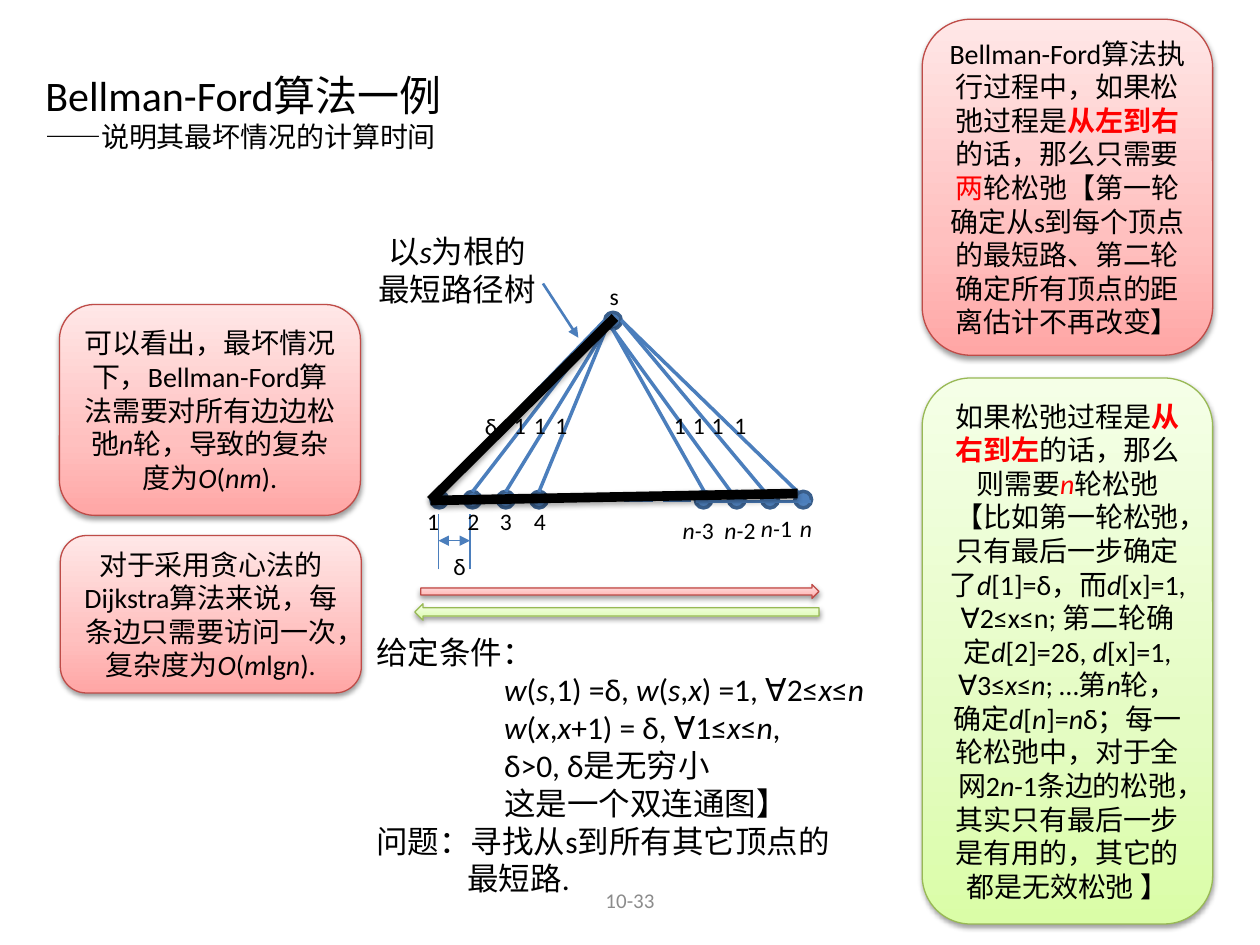
import copy

import pptx
import pptx.dml.color
import pptx.enum.dml
import pptx.enum.shapes
import pptx.enum.text
import pptx.oxml
import pptx.oxml.ns
import pptx.util

Pt = pptx.util.Pt
SHAPE = pptx.enum.shapes.MSO_SHAPE
ALIGN = pptx.enum.text.PP_ALIGN
ANCHOR = pptx.enum.text.MSO_ANCHOR

THEME = {
    "font": "Calibri", "text": "000000", "accent": "FF0000", "muted": "8C8C8C",
    "node": "4F81BD", "node line": "3A5F8C", "edge": "4B7EBC", "tree": "000000",
    "red": (((0, "FFA6A5"), (0.35, "FFC0BF"), (1, "FFE7E7")), "BF4C48"),
    "green": (((0, "DAFDA7"), (0.35, "E4FCC2"), (1, "F5FFE7")), "98B955"),
    "title": 24, "body": 18, "card": 16, "label": 13.5, "footer": 12,
}

# In all texts * switches italic, ^ switches bold and ~ switches the accent colour.
TITLE = (("Bellman-Ford算法一例", "title"), ("——说明其最坏情况的计算时间", "card"))
CARDS = (  # left, top, width, height, palette, text
    (527, 11, 166, 192, "red",
     "Bellman-Ford算法执行过程中，如果松弛过程是~^从左到右^~的话，那么只需要~两~轮松弛"
     "【第一轮确定从s到每个顶点的最短路、第二轮确定所有顶点的距离估计不再改变】"),
    (527, 216, 166, 312, "green",
     "如果松弛过程是~^从右到左^~的话，那么则需要~*n*~轮松弛【比如第一轮松弛，"
     "只有最后一步确定了*d*[1]=δ，而*d*[x]=1, ∀2≤x≤n; 第二轮确定*d*[2]=2δ, "
     "*d*[x]=1, ∀3≤*x*≤*n*; …第*n*轮，确定*d*[*n*]=*n*δ；每一轮松弛中，"
     "对于全网2*n*-1条边的松弛，其实只有最后一步是有用的，其它的都是无效松弛 】"),
    (34, 174, 172, 120.5, "red",
     "可以看出，最坏情况下，Bellman-Ford算法需要对所有边边松弛*n*轮，"
     "导致的复杂度为*O*(*nm*)."),
    (34.5, 306, 172, 90, "red",
     "对于采用贪心法的Dijkstra算法来说，每条边只需要访问一次，"
     "复杂度为*O*(*m*lg*n*)."),
)
PROBLEM = (  # indent, text
    (0, "给定条件："),
    (73, "*w*(*s*,1) =δ, *w*(*s*,*x*) =1, ∀2≤*x*≤*n*"),
    (73, "*w*(*x*,*x*+1) = δ, ∀1≤*x*≤*n*,"),
    (73, "δ>0, δ是无穷小"),
    (73, "这是一个双连通图】"),
    (0, "问题：寻找从s到所有其它顶点的"),
    (52, "最短路."),
)
TREE_NOTE = ("以*s*为根的", "最短路径树")
LABELS = (  # left, top, width, text
    (237, 286, 18, "1"), (260, 286, 18, "2"), (278.6, 286, 21.6, "3"),
    (298, 286, 21.6, "4"), (450, 290, 21.6, "*n*"), (427.7, 290, 32.4, "*n-*1"),
    (406.8, 291, 32.4, "*n-*2"), (383, 291, 32.4, "*n-*3"),
    (252, 311.8, 21, "δ"), (341.3, 157.7, 20, "s"), (270, 231.8, 21, "δ"),
) + tuple((left, 231.4, 21.6, "1")
          for left in (286.6, 298, 310.3, 378, 388.8, 399.6, 412.6))
ARROWS = ((240.5, 334, 227.5, 8, "red", SHAPE.RIGHT_ARROW),
          (237, 345, 231, 9.4, "green", SHAPE.LEFT_ARROW))

NODE_SIZE, NODE_STEP, ROW_Y = 9.5, 19, 285.5
ROOT = (350.3, 183.2)
LEFT_ROW = [251 + NODE_STEP * i for i in range(4)]
RIGHT_ROW = [402 + NODE_STEP * i for i in range(4)]
EDGE_STARTS = ((345.6, 183), (345.6, 183), (347, 186.5), (347, 186.5),
               (350, 188), (350, 188), (355, 183), (355, 183))
EDGE_ENDS = LEFT_ROW + [402.5, 417.6, 437, 455.8]

presentation = pptx.Presentation()
presentation.slide_width, presentation.slide_height = Pt(720), Pt(540)
slide = presentation.slides.add_slide(presentation.slide_layouts[5])


def rgb(value):
    return pptx.dml.color.RGBColor.from_string(value)


def set_effect(shape, shadow_alpha=None):
    """Replace the theme shadow by none, or by a soft one of the given opacity."""
    shadow = "" if shadow_alpha is None else (
        f'<a:outerShdw blurRad="{Pt(3.1)}" dist="{Pt(1.6)}" dir="5400000" rotWithShape="0">'
        f'<a:srgbClr val="000000"><a:alpha val="{shadow_alpha * 1000}"/></a:srgbClr>'
        '</a:outerShdw>')
    shape._element.spPr.append(pptx.oxml.parse_xml(
        f'<a:effectLst {pptx.oxml.ns.nsdecls("a")}>{shadow}</a:effectLst>'))


def add_runs(paragraph, text, size, color="text"):
    state = {"*": False, "^": False, "~": False}
    piece = ""
    for character in text + "*":
        if character not in state:
            piece += character
            continue
        if piece:
            run = paragraph.add_run()
            run.text, piece = piece, ""
            font = run.font
            font.name, font.size = THEME["font"], Pt(THEME[size])
            font.italic, font.bold = state["*"], state["^"]
            font.color.rgb = rgb(THEME["accent" if state["~"] else color])
        state[character] = not state[character]


def fill_frame(frame, lines, align=ALIGN.LEFT, color="text"):
    """Write (text, size, indent) lines, one paragraph each."""
    for index, (text, size, indent) in enumerate(lines):
        paragraph = frame.add_paragraph() if index else frame.paragraphs[0]
        paragraph.alignment = align
        if indent:
            paragraph._p.get_or_add_pPr().set("marL", str(Pt(indent)))
        add_runs(paragraph, text, size, color)


def add_text(box, lines, wrap=False, align=ALIGN.LEFT, color="text"):
    frame = slide.shapes.add_textbox(*map(Pt, box)).text_frame
    frame.word_wrap = wrap
    frame.auto_size = pptx.enum.text.MSO_AUTO_SIZE.SHAPE_TO_FIT_TEXT
    fill_frame(frame, lines, align, color)


def add_line(start, end, width=2, color="edge", heads=(), shadow_alpha=None):
    line = slide.shapes.add_connector(
        pptx.enum.shapes.MSO_CONNECTOR.STRAIGHT, *map(Pt, (*start, *end)))
    line.line.color.rgb, line.line.width = rgb(THEME[color]), Pt(width)
    for head in heads:
        line.line._get_or_add_ln().append(pptx.oxml.parse_xml(
            f'<a:{head} {pptx.oxml.ns.nsdecls("a")} type="triangle"/>'))
    set_effect(line, shadow_alpha)
    return line


def add_node(x, y):
    node = slide.shapes.add_shape(SHAPE.OVAL, Pt(x - NODE_SIZE / 2), Pt(y - NODE_SIZE / 2),
                                  Pt(NODE_SIZE), Pt(NODE_SIZE))
    node.fill.solid()
    node.fill.fore_color.rgb = rgb(THEME["node"])
    node.line.color.rgb, node.line.width = rgb(THEME["node line"]), Pt(2)
    set_effect(node)


def add_panel(kind, box, palette):
    stops, outline = THEME[palette]
    panel = slide.shapes.add_shape(kind, *map(Pt, box))
    panel.fill.gradient()
    panel.fill.gradient_angle = 90
    stop_list = panel._element.xpath(".//a:gsLst")[0]
    stop_list.append(copy.deepcopy(stop_list[0]))
    for stop, (position, color) in zip(panel.fill.gradient_stops, stops):
        stop.position, stop.color.rgb = position, rgb(color)
    panel.line.color.rgb, panel.line.width = rgb(outline), Pt(0.75)
    set_effect(panel, 38)
    return panel


title = slide.shapes.title
title.left, title.top, title.width, title.height = map(Pt, (18.7, 36, 243.4, 55.4))
title.text_frame.word_wrap = True
title.text_frame.auto_size = pptx.enum.text.MSO_AUTO_SIZE.NONE
title.text_frame.vertical_anchor = ANCHOR.TOP
fill_frame(title.text_frame, [(text, size, 0) for text, size in TITLE])

add_node(*ROOT)
for x in LEFT_ROW + RIGHT_ROW:
    add_node(x, ROW_Y)
for start, x in zip(EDGE_STARTS, EDGE_ENDS):
    add_line(start, (x, 281))
add_line((246, 286), (312.5, 286))
add_line((397.5, 286.5), (463.7, 286.5))
gap = add_line((312.5, 286), (397.5, 286))
gap.line.dash_style = pptx.enum.dml.MSO_LINE.LONG_DASH

for x in (250.6, 268.6):
    add_line((x, 325.4), (x, 294), 0.75)
add_line((250.6, 309), (268.6, 309), 0.75, heads=("headEnd", "tailEnd"))
for left, top, width, text in LABELS:
    add_text((left, top, width, 23.8), [(text, "label", 0)], wrap=width == 18)

add_text((208, 358, 299.5, 160), [(text, "body", indent) for indent, text in PROBLEM],
         wrap=True)
for *box, palette, kind in ARROWS:
    add_panel(kind, box, palette)
for *box, palette, text in CARDS:
    frame = add_panel(SHAPE.ROUNDED_RECTANGLE, box, palette).text_frame
    frame.word_wrap, frame.vertical_anchor = True, ANCHOR.MIDDLE
    fill_frame(frame, [(text, "card", 0)], ALIGN.CENTER)

for start in ((351.4, 181.4), (455.8, 282)):
    add_line(start, (246, 286), 5.5, "tree", shadow_alpha=35)
add_line((310.3, 162), (330.5, 193), 1.5, heads=("tailEnd",))
add_text((208.8, 129, 105, 51), [(text, "body", 0) for text in TREE_NOTE],
         align=ALIGN.CENTER)
add_text((246, 503.7, 228, 22), [("10-33", "footer", 0)], True, ALIGN.CENTER, "muted")

presentation.save("out.pptx")
